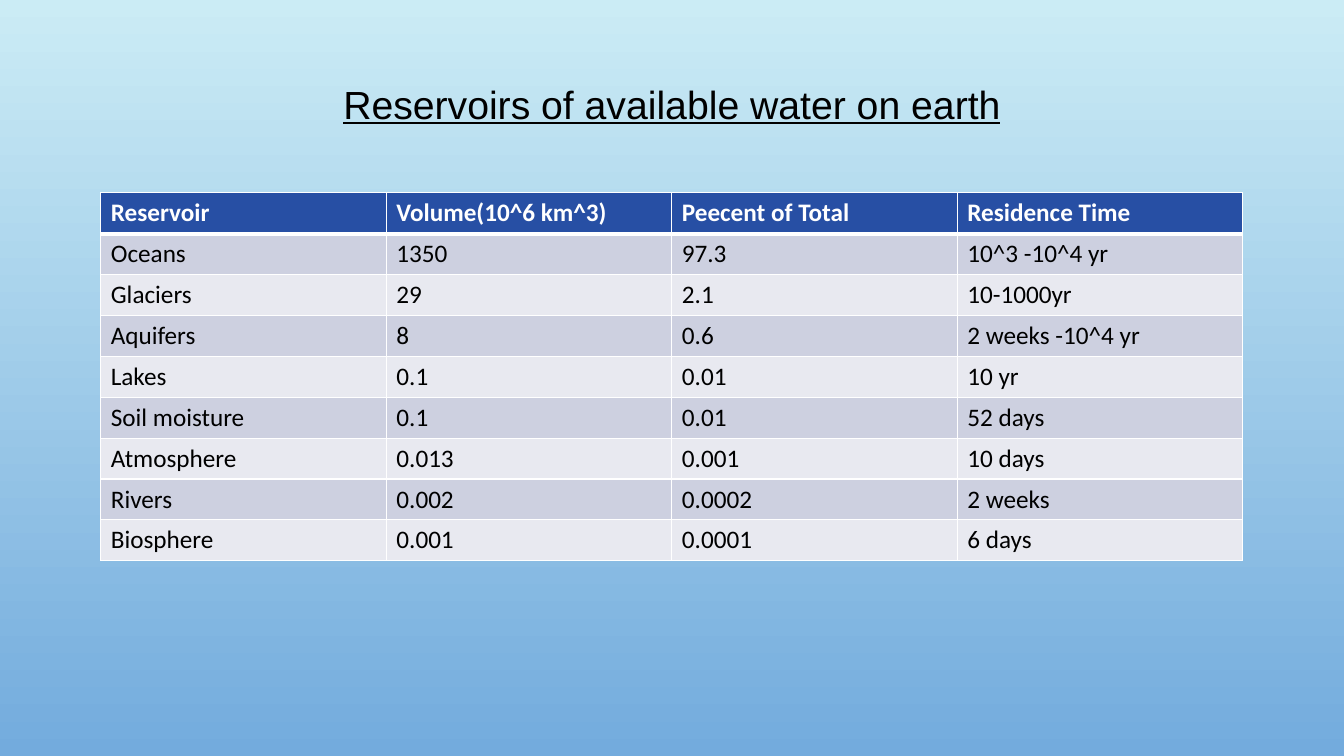
from lxml.etree import SubElement
from pptx import Presentation
from pptx.dml.color import RGBColor
from pptx.enum.text import MSO_ANCHOR, PP_ALIGN
from pptx.oxml.ns import qn
from pptx.util import Cm, Pt

COLORS = {
    "sky": "CBECF5", "sea": "73ABDD", "head": "274FA4",
    "odd": "CDD0E0", "even": "E8E9F0", "white": "FFFFFF", "black": "000000",
}
ROWS = [
    ("Reservoir", "Volume(10^6 km^3)", "Peecent of Total", "Residence Time"),
    ("Oceans", "1350", "97.3", "10^3 -10^4 yr"),
    ("Glaciers", "29", "2.1", "10-1000yr"),
    ("Aquifers", "8", "0.6", "2 weeks -10^4 yr"),
    ("Lakes", "0.1", "0.01", "10 yr"),
    ("Soil moisture", "0.1", "0.01", "52 days"),
    ("Atmosphere", "0.013", "0.001", "10 days"),
    ("Rivers", "0.002", "0.0002", "2 weeks"),
    ("Biosphere", "0.001", "0.0001", "6 days"),
]


def color(name):
    """Return the named colour."""
    return RGBColor.from_string(COLORS[name])


def style(par, face, size, tint, bold=False, under=False):
    """Format every run of a paragraph."""
    for run in par.runs:
        font = run.font
        font.name, font.size = face, Pt(size)
        font.bold, font.underline = bold, under
        font.color.rgb = color(tint)


def border(cell, side, width):
    """Draw one white edge (L, R, T or B) of a cell."""
    line = SubElement(cell._tc.get_or_add_tcPr(), qn("a:ln" + side), w=str(Pt(width)))
    fill = SubElement(line, qn("a:solidFill"))
    SubElement(fill, qn("a:srgbClr"), val=COLORS["white"])


def backdrop(slide):
    """Fill the background from sky down to sea."""
    fill = slide.background.fill
    fill.gradient()
    fill.gradient_angle = 270
    for stop, name in zip(fill.gradient_stops, ("sky", "sea")):
        stop.color.rgb = color(name)


def title(slide, box, text):
    """Place the underlined heading in the box."""
    frame = slide.shapes.add_textbox(*box).text_frame
    frame.word_wrap = True
    frame.vertical_anchor = MSO_ANCHOR.MIDDLE
    frame.text = text
    par = frame.paragraphs[0]
    par.alignment = PP_ALIGN.CENTER
    par.line_spacing = 0.9
    style(par, "Arial", 28, "black", under=True)


def table(slide, box, rows):
    """Fill the box with a banded table whose first row is the header."""
    grid = slide.shapes.add_table(len(rows), len(rows[0]), *box).table
    for r, row in enumerate(rows):
        head = r == 0
        band = "head" if head else "odd" if r % 2 else "even"
        for c, text in enumerate(row):
            cell = grid.cell(r, c)
            for side in "LRTB":
                thick = (head and side == "B") or (r == 1 and side == "T")
                border(cell, side, 3 if thick else 1)
            cell.fill.solid()
            cell.fill.fore_color.rgb = color(band)
            cell.text_frame.text = text
            style(cell.text_frame.paragraphs[0], "Calibri", 18,
                  "white" if head else "black", bold=head)


def main():
    """Build and save the slide."""
    deck = Presentation()
    deck.slide_width, deck.slide_height = Cm(33.87), Cm(19.05)
    slide = deck.slides.add_slide(deck.slide_layouts[6])
    backdrop(slide)
    title(slide, (Cm(3.43), Cm(1.37), Cm(27), Cm(2.62)),
          "Reservoirs of available water on earth")
    table(slide, (Cm(2.54), Cm(4.86), Cm(28.78), Cm(9.27)), ROWS)
    deck.save("out.pptx")


main()
